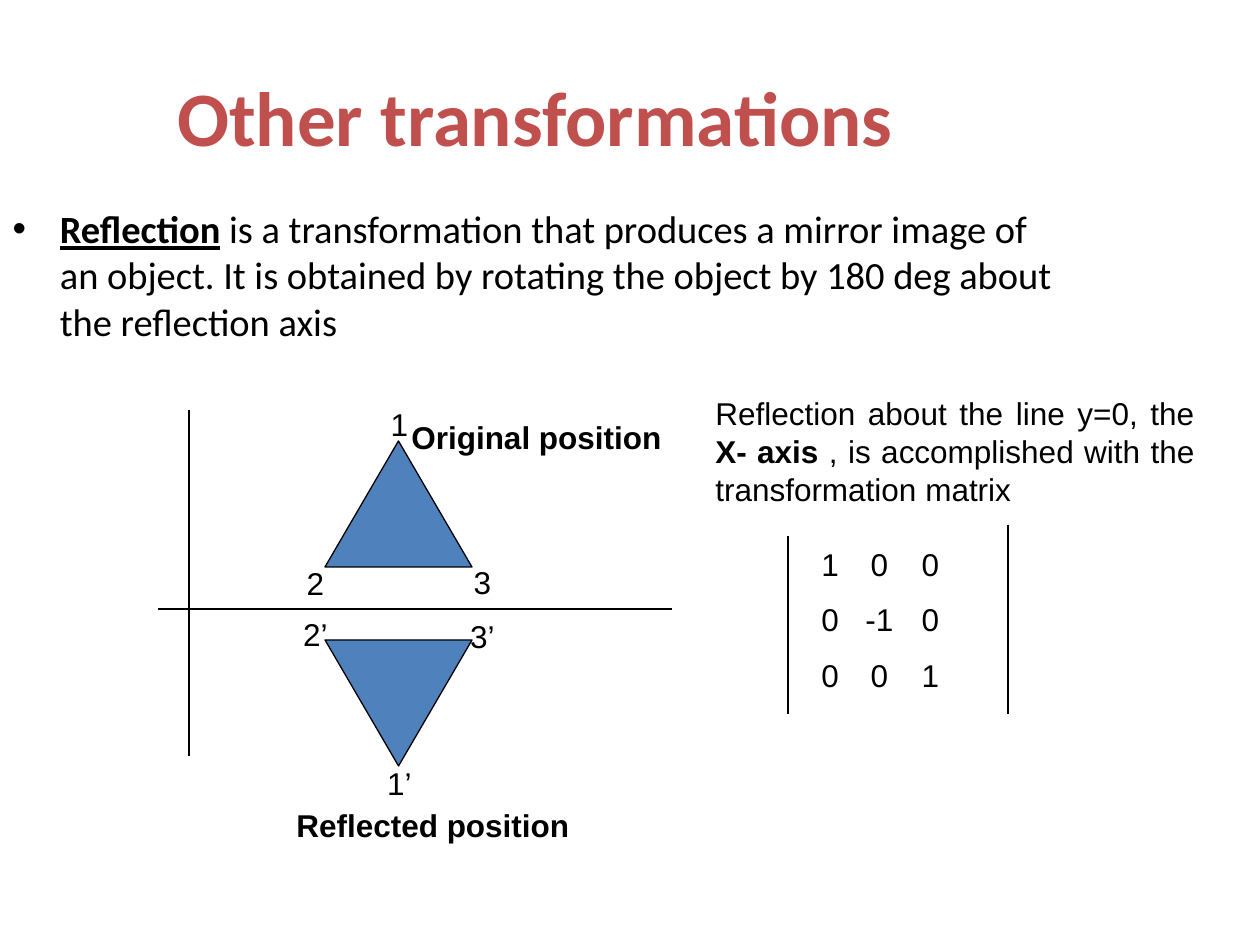
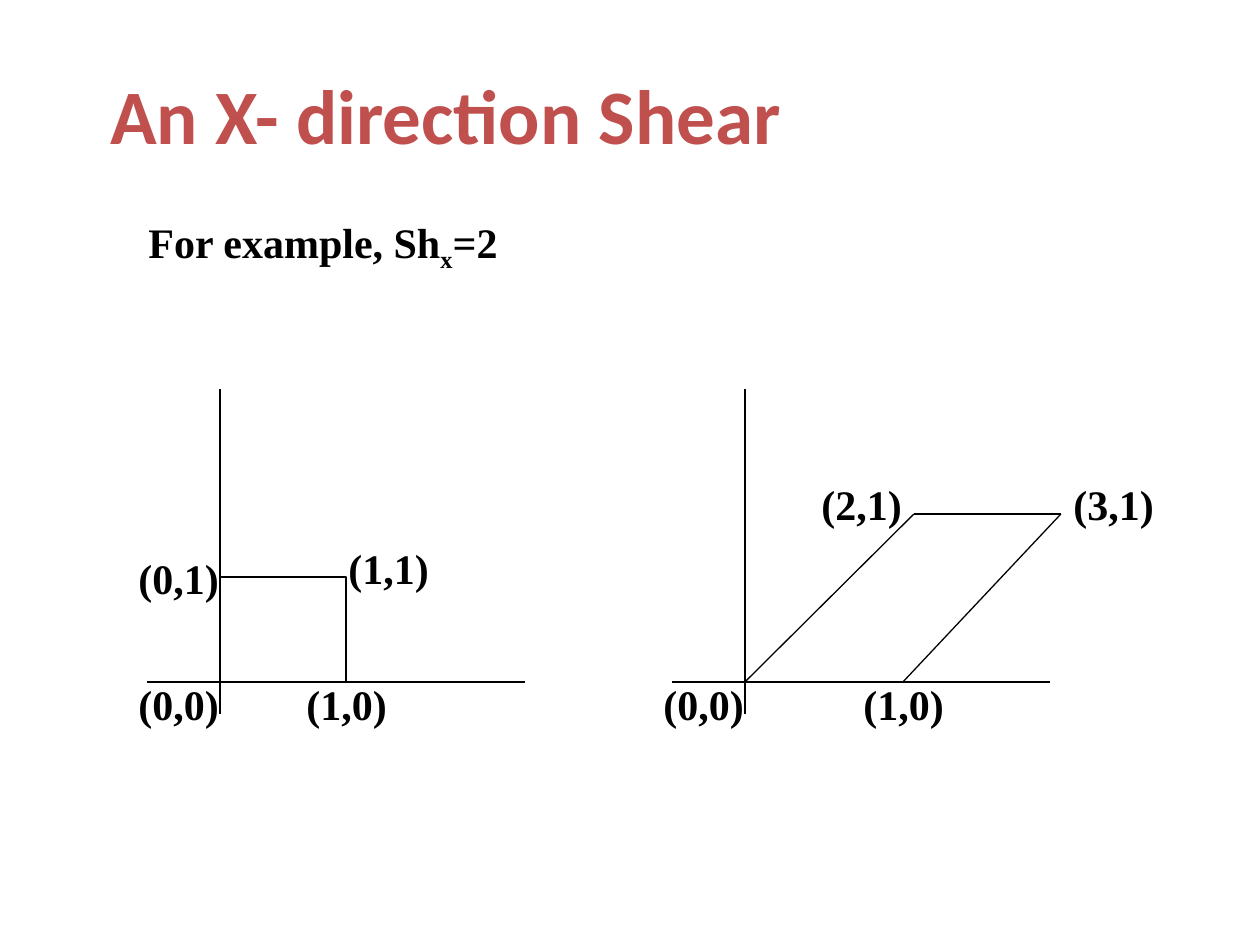
"""Build two slides on reflection and shear transformations."""
from lxml import etree
from pptx import Presentation
from pptx import util as u
from pptx.dml.color import RGBColor
from pptx.enum import shapes, text
from pptx.oxml.ns import qn

SCALE = 914400 // 126
HUES = {"title": "C0504D", "ink": "000000", "fill": "4F81BD"}
HEAD = {"name": "Calibri", "size": u.Pt(44), "bold": True}
BODY = {"name": "Calibri", "size": u.Pt(22)}
NOTE = {"name": "Arial", "size": u.Pt(18)}
POINT = {"name": "Times New Roman", "size": u.Pt(24), "bold": True}
BOLD = {"bold": True}
ALIGN = text.PP_ALIGN
ANCHOR = text.MSO_ANCHOR


def hue(key):
    """Return the named colour."""
    return RGBColor.from_string(HUES[key])


def px(*vals):
    """Turn pixels into EMU."""
    return [u.Emu(val * SCALE) for val in vals]


class Deck:
    """Hold the style and the current slide."""

    def __init__(self):
        """Start a deck of 10 by 7.5 inches."""
        self.show = Presentation()
        self.show.slide_width, self.show.slide_height = px(1260, 945)

    def start(self, layout):
        """Add a slide with the given layout."""
        self.slide = self.show.slides.add_slide(self.show.slide_layouts[layout])

    def fill(self, para, runs, style, ink="ink"):
        """Add runs, each a text with its own format values."""
        for words, extra in runs:
            run = para.add_run()
            run.text = words
            run.font.color.rgb = hue(ink)
            for key, val in {**style, **extra}.items():
                if key == "base":
                    run._r.get_or_add_rPr().set("baseline", str(val))
                else:
                    setattr(run.font, key, val)

    def place(self, item, box):
        """Move a shape to a pixel box."""
        for key, val in zip(("left", "top", "width", "height"), px(*box)):
            setattr(item, key, val)

    def title(self, words, box, anchor):
        """Fill the title placeholder."""
        item = self.slide.shapes.title
        self.place(item, box)
        frame = item.text_frame
        frame.auto_size = text.MSO_AUTO_SIZE.NONE
        frame.vertical_anchor = anchor
        frame.paragraphs[0].alignment = ALIGN.CENTER
        self.fill(frame.paragraphs[0], [(words, {})], HEAD, "title")

    def body(self, runs, box):
        """Fill the body placeholder with one bullet."""
        item = self.slide.placeholders[1]
        self.place(item, box)
        item.text_frame.auto_size = text.MSO_AUTO_SIZE.NONE
        self.fill(item.text_frame.paragraphs[0], runs, BODY)

    def label(self, rows, box, style, align=ALIGN.LEFT, tabs=()):
        """Add a text box with one paragraph for each row of runs."""
        frame = self.slide.shapes.add_textbox(*px(*box)).text_frame
        frame.word_wrap = True
        frame.auto_size = text.MSO_AUTO_SIZE.SHAPE_TO_FIT_TEXT
        for num, runs in enumerate(rows):
            para = frame.add_paragraph() if num else frame.paragraphs[0]
            para.alignment = align
            if num:
                para.space_before = u.Pt(10)
            if tabs:
                stops = etree.SubElement(para._p.get_or_add_pPr(), qn("a:tabLst"))
                for pos in px(*tabs):
                    etree.SubElement(stops, qn("a:tab"), pos=str(pos), algn="ctr")
            self.fill(para, runs, style)

    def line(self, *ends):
        """Draw a thin line between two points."""
        item = self.slide.shapes.add_connector(
            shapes.MSO_CONNECTOR.STRAIGHT, *px(*ends))
        self.stroke(item)
        etree.SubElement(item._element.spPr, qn("a:effectLst"))

    def shape(self, kind, box, fill=None, turn=0):
        """Draw an outlined preset shape."""
        item = self.slide.shapes.add_shape(kind, *px(*box))
        item.shadow.inherit = False
        item.rotation = turn
        if fill:
            item.fill.solid()
            item.fill.fore_color.rgb = hue(fill)
        else:
            item.fill.background()
        self.stroke(item)

    def stroke(self, item):
        """Set the shared outline."""
        item.line.color.rgb = hue("ink")
        item.line.width = u.Pt(0.75)


def reflect(deck):
    """Build the reflection slide."""
    deck.start(1)
    deck.title("Other transformations", (0, 10, 1071, 158), ANCHOR.BOTTOM)
    deck.body([("Reflection", {"bold": True, "underline": True}), (" ", BOLD),
               ("is a transformation that produces a mirror image of an object. "
                "It is obtained by rotating the object by 180 deg about the "
                "reflection axis", {})], (0, 199, 1071, 640))
    for ends in ((189, 410, 189, 756), (158, 609, 672, 609),
                 (788, 536, 788, 714), (1008, 525, 1008, 714)):
        deck.line(*ends)
    for top, turn in ((441, 0), (640, 180)):
        deck.shape(shapes.MSO_SHAPE.ISOSCELES_TRIANGLE, (325, top, 147, 126),
                   "fill", turn)
    for words, left, top in (("1", 368, 399), ("2", 284, 558), ("3", 451, 557),
                             ("3’", 451, 611), ("2’", 284, 609),
                             ("1’", 368, 758)):
        deck.label([[(words, {})]], (left, top, 63, 50), NOTE, ALIGN.CENTER)
    deck.label([[("Original position", BOLD)]], (399, 412, 399, 50), NOTE)
    deck.label([[("Reflected position", BOLD)]], (284, 800, 315, 50), NOTE)
    deck.label([[("Reflection about the line y=0, the ", {}), ("X- axis", BOLD),
                 (" , is accomplished with the transformation matrix", {})]],
               (703, 388, 504, 183), NOTE, ALIGN.JUSTIFY)
    matrix = ((1, 0, 0), (0, -1, 0), (0, 0, 1))
    deck.label([[("\t".join(map(str, row)), {})] for row in matrix],
               (809, 539, 179, 164), NOTE, tabs=(58, 109))


def shear(deck):
    """Build the shear slide."""
    deck.start(5)
    deck.title("An X- direction Shear", (0, 63, 892, 101), ANCHOR.MIDDLE)
    for left in (147, 672):
        deck.line(left + 73, 389, left + 73, 714)
        deck.line(left, 682, left + 378, 682)
    deck.shape(shapes.MSO_SHAPE.RECTANGLE, (220, 577, 126, 105))
    for ends in ((745, 682, 914, 514), (903, 682, 1061, 514),
                 (914, 514, 1061, 514)):
        deck.line(*ends)
    for words, left, top in (("(0,1)", 126, 546), ("(1,1)", 336, 536),
                             ("(1,0)", 294, 672), ("(0,0)", 126, 672),
                             ("(0,0)", 651, 672), ("(1,0)", 851, 672),
                             ("(2,1)", 809, 472), ("(3,1)", 1061, 472)):
        deck.label([[(words, {})]], (left, top, 116, 64), POINT)
    deck.label([[("For example, Sh", {}), ("x", {"base": -25000}), ("=2", {})]],
               (136, 210, 473, 64), POINT)


deck = Deck()
reflect(deck)
shear(deck)
deck.show.save("out.pptx")
